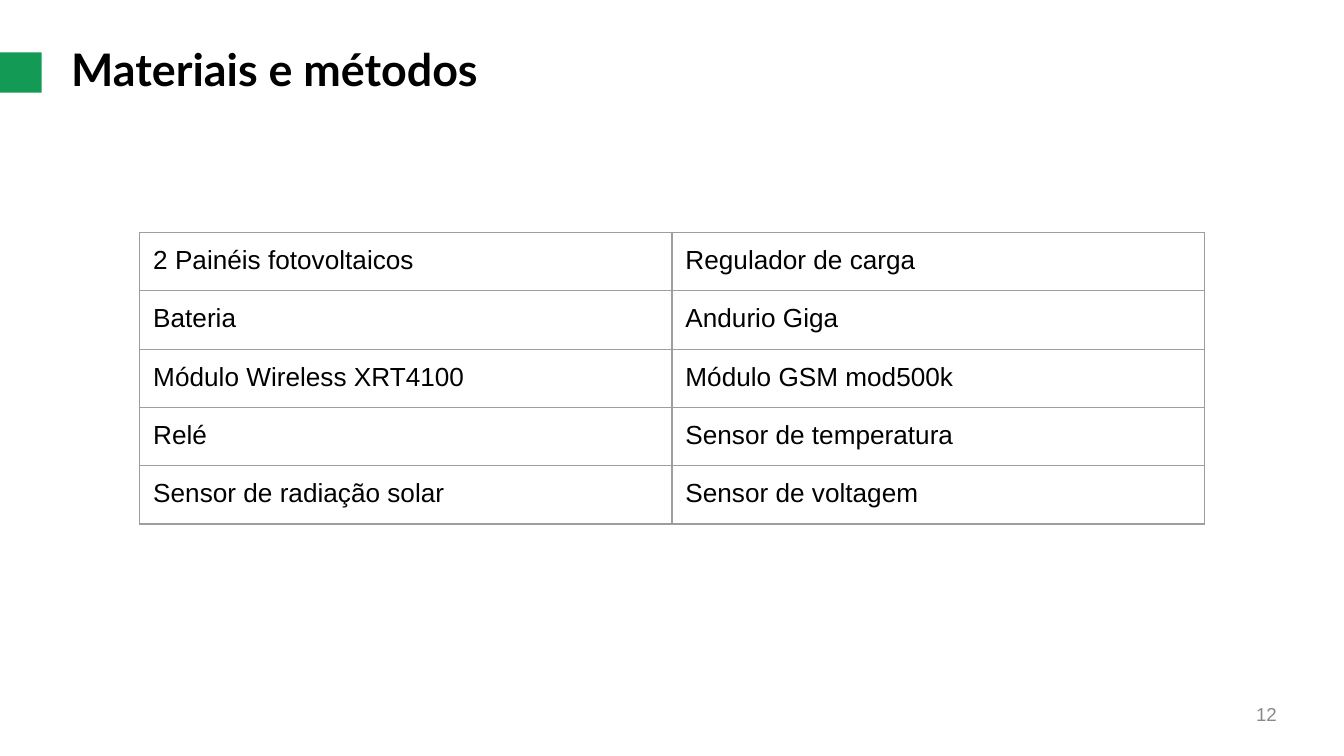
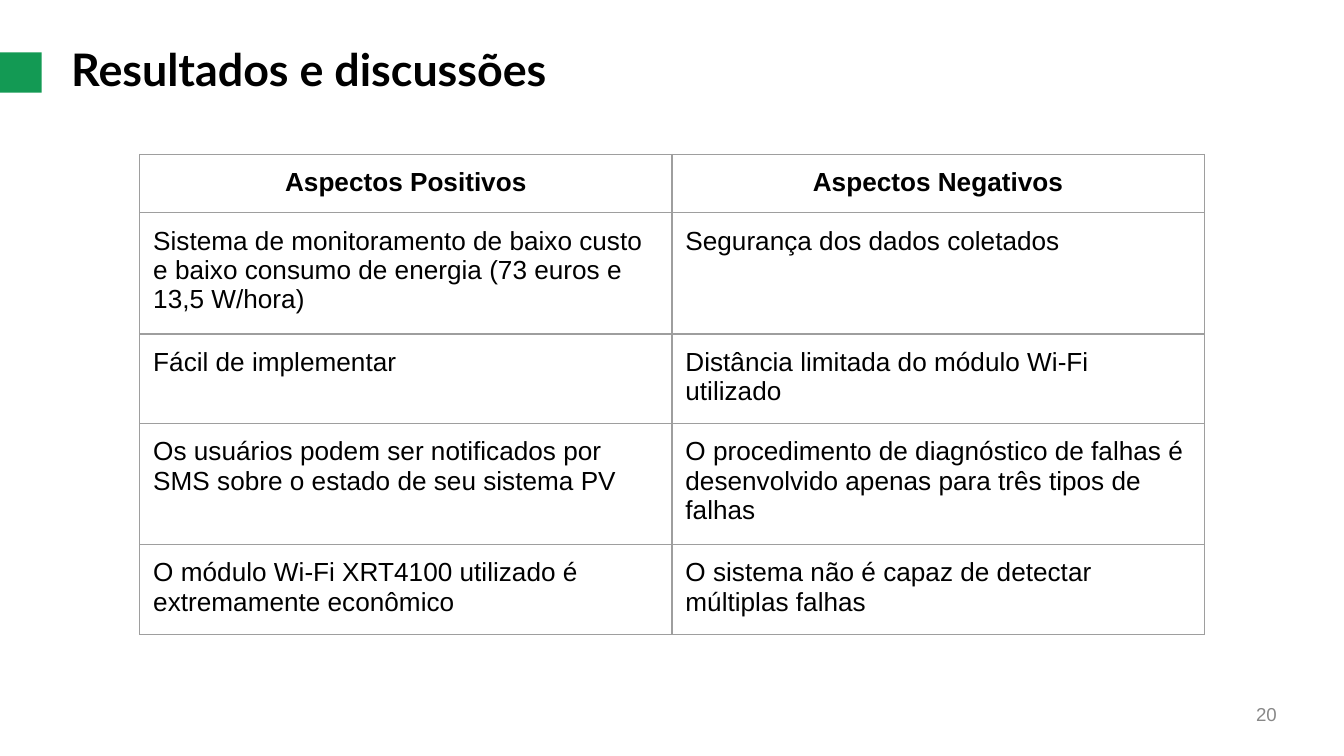
from dataclasses import dataclass

from lxml import etree
from pptx import Presentation
from pptx.dml.color import RGBColor
from pptx.enum.shapes import MSO_SHAPE
from pptx.enum.text import MSO_ANCHOR, PP_ALIGN
from pptx.oxml.ns import qn
from pptx.presentation import Presentation as Deck
from pptx.slide import Slide
from pptx.table import _Cell as Cell
from pptx.text.text import TextFrame
from pptx.util import Inches, Pt

RECTANGLE = MSO_SHAPE.RECTANGLE
TOP = MSO_ANCHOR.TOP
LEFT, CENTER, RIGHT = PP_ALIGN.LEFT, PP_ALIGN.CENTER, PP_ALIGN.RIGHT

COLORS = {
    "background": "FFFFFF",
    "accent": "139A54",
    "text": "000000",
    "number": "888888",
    "border": "9E9E9E",
}
SLIDE_WIDTH = Inches(10)
SLIDE_HEIGHT = SLIDE_WIDTH * 9 // 16
BORDER_WIDTH = Pt(0.75)
BORDER_SIDES = ("a:lnL", "a:lnR", "a:lnT", "a:lnB")
TABLE_LEFT = Inches(1.04)
COLUMN_WIDTH = Inches(3.96)
ROW_HEIGHT = Inches(0.42)
CELL_MARGIN = Inches(0.1)


@dataclass(frozen=True)
class TextStyle:
    size: float
    color: str
    font: str = "Arial"
    bold: bool = False
    align: PP_ALIGN = LEFT


@dataclass(frozen=True)
class TextArea:
    left: float
    top: float
    width: float
    height: float
    style: TextStyle
    margin_left: float = 0
    margin_top: float = 0


@dataclass(frozen=True)
class TablePage:
    title: str
    number: int
    table_top: float
    rows: tuple[tuple[str, str], ...]
    has_header: bool = False


TITLE = TextArea(
    0.51, 0.3, 7.42, 0.42, TextStyle(24, "text", "Lato", True), 0.02, 0.01
)
NUMBER = TextArea(7.2, 5.23, 2.3, 0.17, TextStyle(10, "number", align=RIGHT))
BODY = TextStyle(14, "text")
HEADER = TextStyle(14, "text", bold=True, align=CENTER)

PAGES = (
    TablePage(
        "Materiais e métodos", 12, 1.73,
        (
            ("2 Painéis fotovoltaicos", "Regulador de carga"),
            ("Bateria", "Andurio Giga"),
            ("Módulo Wireless XRT4100", "Módulo GSM mod500k"),
            ("Relé", "Sensor de temperatura"),
            ("Sensor de radiação solar", "Sensor de voltagem"),
        ),
    ),
    TablePage(
        "Resultados e discussões", 20, 1.15,
        (
            ("Aspectos Positivos", "Aspectos Negativos"),
            (
                "Sistema de monitoramento de baixo custo e baixo consumo "
                "de energia (73 euros e 13,5 W/hora)",
                "Segurança dos dados coletados",
            ),
            ("Fácil de implementar", "Distância limitada do módulo Wi-Fi utilizado"),
            (
                "Os usuários podem ser notificados por SMS sobre o estado "
                "de seu sistema PV",
                "O procedimento de diagnóstico de falhas é desenvolvido "
                "apenas para três tipos de falhas",
            ),
            (
                "O módulo Wi-Fi XRT4100 utilizado é extremamente econômico",
                "O sistema não é capaz de detectar múltiplas falhas",
            ),
        ),
        has_header=True,
    ),
)


def rgb(name: str) -> RGBColor:
    return RGBColor.from_string(COLORS[name])


def apply(target: object, values: dict[str, object]) -> None:
    for name, value in values.items():
        setattr(target, name, value)


def write(frame: TextFrame, text: str, style: TextStyle) -> None:
    para = frame.paragraphs[0]
    para.alignment = style.align
    span = para.add_run()
    span.text = text
    apply(span.font, {"name": style.font, "size": Pt(style.size), "bold": style.bold})
    span.font.color.rgb = rgb(style.color)


def add_text(page: Slide, area: TextArea, text: str) -> None:
    box = page.shapes.add_textbox(
        Inches(area.left), Inches(area.top), Inches(area.width), Inches(area.height)
    )
    apply(box.text_frame, {
        "word_wrap": True,
        "vertical_anchor": TOP,
        "margin_left": Inches(area.margin_left),
        "margin_top": Inches(area.margin_top),
        "margin_right": 0,
        "margin_bottom": 0,
    })
    write(box.text_frame, text, area.style)


def add_title_band(page: Slide) -> None:
    band = page.shapes.add_shape(
        RECTANGLE, Inches(0), Inches(0.39), Inches(0.31), Inches(0.3)
    )
    band.shadow.inherit = False
    band.fill.solid()
    band.fill.fore_color.rgb = rgb("accent")
    band.line.fill.background()


def add_borders(cell: Cell) -> None:
    properties = cell._tc.get_or_add_tcPr()
    for side in BORDER_SIDES:
        line = etree.SubElement(properties, qn(side), w=str(BORDER_WIDTH))
        fill = etree.SubElement(line, qn("a:solidFill"))
        etree.SubElement(fill, qn("a:srgbClr"), val=COLORS["border"])


def fill_cell(cell: Cell, text: str, style: TextStyle) -> None:
    apply(cell, {
        "margin_left": CELL_MARGIN,
        "margin_top": CELL_MARGIN,
        "margin_right": CELL_MARGIN,
        "margin_bottom": CELL_MARGIN,
        "vertical_anchor": TOP,
    })
    add_borders(cell)
    cell.fill.background()
    write(cell.text_frame, text, style)


def add_grid(page: Slide, content: TablePage) -> None:
    row_count, column_count = len(content.rows), len(content.rows[0])
    table = page.shapes.add_table(
        row_count, column_count, TABLE_LEFT, Inches(content.table_top),
        COLUMN_WIDTH * column_count, ROW_HEIGHT * row_count,
    ).table
    apply(table, {"first_row": content.has_header, "horz_banding": False})
    for row_index, texts in enumerate(content.rows):
        style = HEADER if content.has_header and row_index == 0 else BODY
        for column_index, text in enumerate(texts):
            fill_cell(table.cell(row_index, column_index), text, style)


def add_page(deck: Deck, content: TablePage) -> None:
    page = deck.slides.add_slide(deck.slide_layouts[6])
    page.background.fill.solid()
    page.background.fill.fore_color.rgb = rgb("background")
    add_text(page, NUMBER, str(content.number))
    add_text(page, TITLE, content.title)
    add_title_band(page)
    add_grid(page, content)


def main() -> None:
    deck = Presentation()
    apply(deck, {"slide_width": SLIDE_WIDTH, "slide_height": SLIDE_HEIGHT})
    for content in PAGES:
        add_page(deck, content)
    deck.save("out.pptx")


if __name__ == "__main__":
    main()
